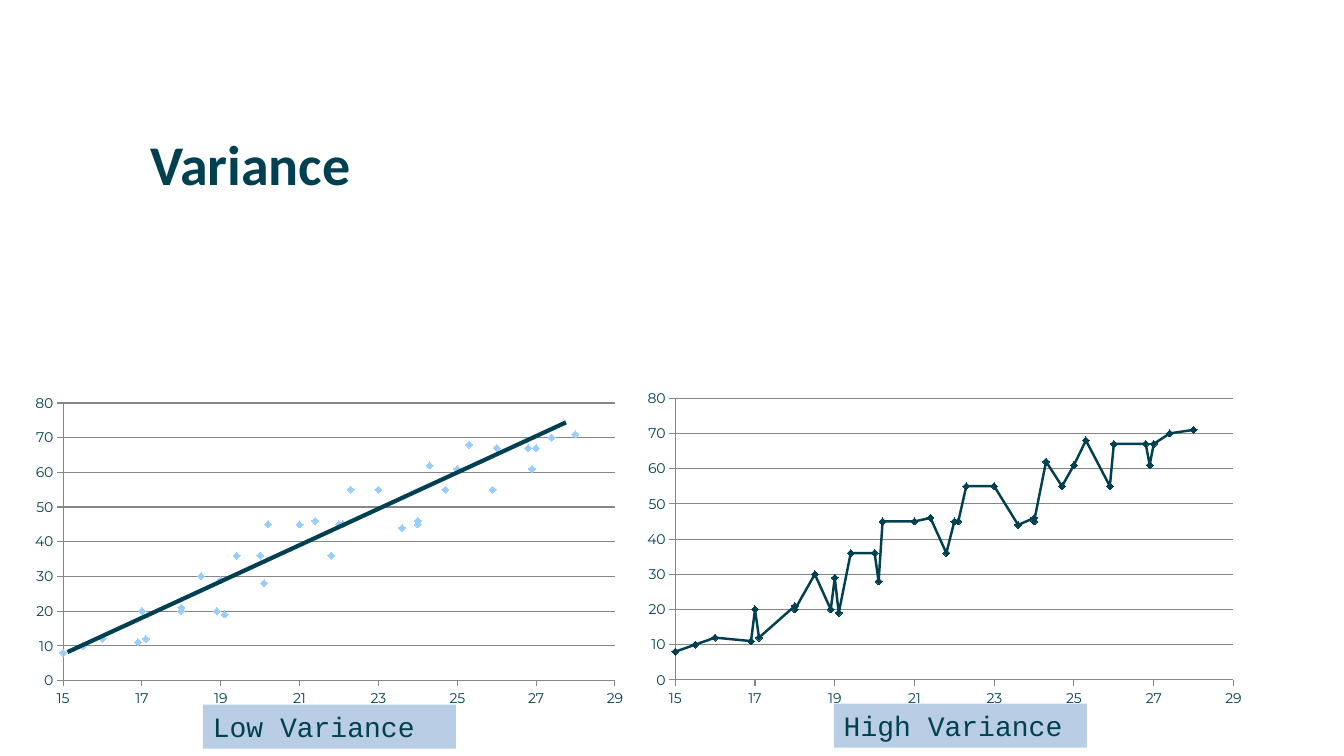
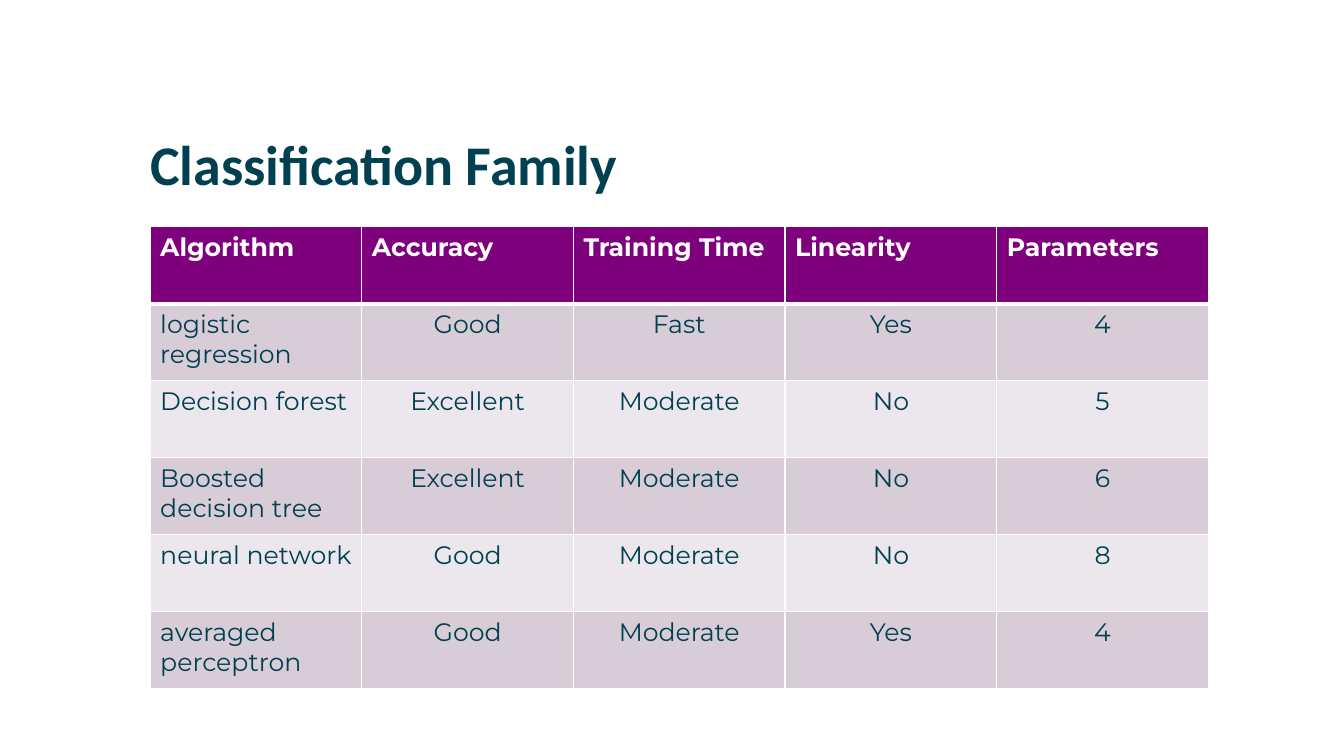
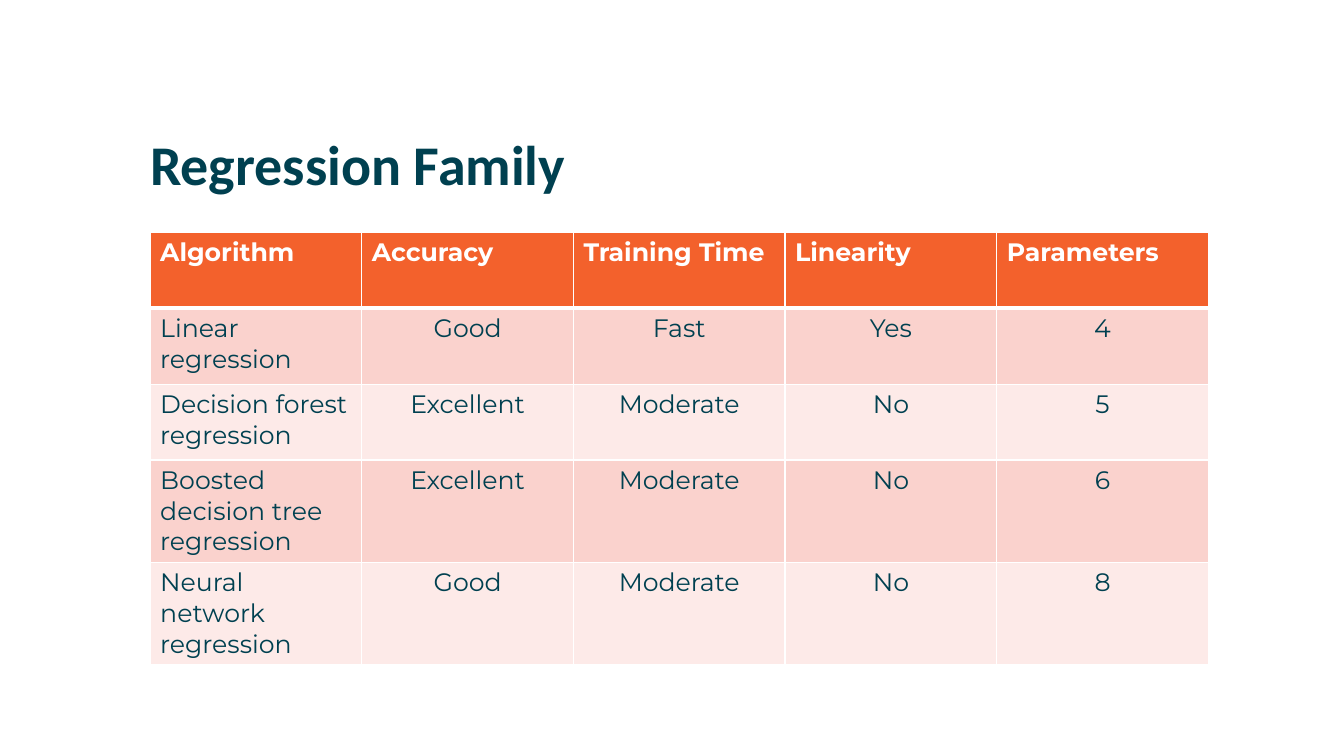
from lxml import etree
from pptx import Presentation
from pptx.chart.data import XyChartData
from pptx.dml.color import RGBColor
from pptx.enum.chart import XL_CHART_TYPE, XL_MARKER_STYLE, XL_TICK_MARK
from pptx.enum.shapes import MSO_CONNECTOR, MSO_SHAPE
from pptx.enum.text import MSO_ANCHOR, MSO_AUTO_SIZE, PP_ALIGN
from pptx.oxml import parse_xml
from pptx.oxml.ns import nsdecls, qn
from pptx.util import Pt

INK, WHITE, GRID, PALE, LABEL = "004050", "FFFFFF", "868686", "99CCFF", "B9CDE5"
HEAD, BODY, MONO = "Calibri", "Montserrat", "Courier New"
LEFT, COL_W = 107.25, 151.2

# Content
POINTS = [
    (14.2, 7), (15, 8), (15.5, 10), (16, 12), (16.9, 11), (17, 20), (17, 20),
    (17.1, 12), (18, 21), (18, 20), (18.5, 30), (18.9, 20), (19, 29), (19.1, 19),
    (19.4, 36), (20, 36), (20.1, 28), (20.2, 45), (21, 45), (21.4, 46), (21.8, 36),
    (22, 45), (22.1, 45), (22.3, 55), (23, 55), (23.6, 44), (24, 46), (24, 45),
    (24.3, 62), (24.7, 55), (25, 61), (25.3, 68), (25.9, 55), (26, 67), (26.8, 67),
    (26.9, 61), (27, 67), (27.4, 70), (28, 71),
]
# Chart box, label, label corner, marker colour, joined points
PANELS = [
    ((16.7, 277.2, 437, 232.6), "Low Variance", (144.9, 503.3), PALE, False),
    ((453.6, 273.6, 442.1, 236.2), "High Variance", (595.6, 502.6), INK, True),
]
TREND = (48.2, 465.8, 404.3, 301.7)

COLUMNS = ("Algorithm", "Accuracy", "Training Time", "Linearity", "Parameters")
FAMILIES = [
    dict(title="Classification Family", top=162, row_h=55,
         fills=("7F007D", "D8CCD7", "ECE7EC"),
         rows=[("logistic regression", "Good", "Fast", "Yes", "4"),
               ("Decision forest", "Excellent", "Moderate", "No", "5"),
               ("Boosted decision tree", "Excellent", "Moderate", "No", "6"),
               ("neural network", "Good", "Moderate", "No", "8"),
               ("averaged perceptron", "Good", "Moderate", "Yes", "4")]),
    dict(title="Regression Family", top=166, row_h=54.2,
         fills=("F3612C", "FAD2CD", "FDEAE8"),
         rows=[("Linear regression", "Good", "Fast", "Yes", "4"),
               ("Decision forest regression", "Excellent", "Moderate", "No", "5"),
               ("Boosted decision tree regression", "Excellent", "Moderate", "No", "6"),
               ("Neural network regression", "Good", "Moderate", "No", "8")]),
]


def rgb(color):
    return RGBColor.from_string(color)


def put_text(tf, text, size=18, font=BODY, color=INK, bold=False,
             align=PP_ALIGN.LEFT, spacing=None):
    p = tf.paragraphs[0]
    p.alignment = align
    if spacing:
        p.line_spacing = spacing
    r = p.add_run()
    r.text = text
    r.font.size, r.font.name, r.font.bold = Pt(size), font, bold
    r.font.color.rgb = rgb(color)


def add_slide(prs, title):
    s = prs.slides.add_slide(prs.slide_layouts[5])
    sp = s.shapes.title
    sp.left, sp.top, sp.width, sp.height = Pt(LEFT), Pt(98), Pt(746.6), Pt(41)
    tf = sp.text_frame
    tf.margin_left = tf.margin_top = tf.margin_right = tf.margin_bottom = 0
    tf.vertical_anchor, tf.auto_size = MSO_ANCHOR.TOP, MSO_AUTO_SIZE.NONE
    put_text(tf, title, size=40, font=HEAD, bold=True, spacing=0.9)
    return s


def add_scatter(s, box, color, joined):
    data = XyChartData()
    series = data.add_series("Series 1")
    for x, y in POINTS:
        series.add_data_point(x, y)
    kind = XL_CHART_TYPE.XY_SCATTER_LINES if joined else XL_CHART_TYPE.XY_SCATTER
    chart = s.shapes.add_chart(kind, *map(Pt, box), data).chart
    chart.has_legend = chart.has_title = False
    chart.font.size, chart.font.name = Pt(10), BODY
    chart.font.color.rgb = rgb(INK)

    # Axes
    x_axis, y_axis = chart.category_axis, chart.value_axis
    for axis, low, high, step in ((x_axis, 15, 29, 2), (y_axis, 0, 80, 10)):
        axis.minimum_scale, axis.maximum_scale, axis.major_unit = low, high, step
        axis.major_tick_mark = XL_TICK_MARK.OUTSIDE
        axis.format.line.color.rgb = rgb(GRID)
        axis.format.line.width = Pt(0.75)
    x_axis.has_major_gridlines, y_axis.has_major_gridlines = False, True
    grid = y_axis.major_gridlines.format.line
    grid.color.rgb, grid.width = rgb(GRID), Pt(0.75)

    # Series
    plot = chart.plots[0]
    plot.vary_by_categories = False
    ser = plot.series[0]
    ser.smooth = False
    if joined:
        ser.format.line.color.rgb, ser.format.line.width = rgb(color), Pt(1.75)
    else:
        ser.format.line.fill.background()
    ser.marker.style, ser.marker.size = XL_MARKER_STYLE.DIAMOND, 5
    ser.marker.format.fill.solid()
    ser.marker.format.fill.fore_color.rgb = rgb(color)
    ser.marker.format.line.color.rgb = rgb(color)

    # Fixed plot area
    area = plot._element.getparent()
    for old in area.findall(qn("c:layout")):
        area.remove(old)
    sizes = "".join(f'<c:{k} val="{v}"/>' for k, v in
                    (("x", 0.065), ("y", 0.046), ("w", 0.902), ("h", 0.852)))
    area.insert(0, parse_xml(
        f'<c:layout {nsdecls("c")}><c:manualLayout><c:layoutTarget val="inner"/>'
        f'<c:xMode val="edge"/><c:yMode val="edge"/>{sizes}</c:manualLayout></c:layout>'))


def add_label(s, text, corner):
    sp = s.shapes.add_shape(MSO_SHAPE.RECTANGLE, *map(Pt, corner), Pt(180.7), Pt(31.5))
    sp.shadow.inherit = False
    sp.fill.solid()
    sp.fill.fore_color.rgb = rgb(LABEL)
    sp.line.fill.background()
    sp.text_frame.word_wrap = True
    put_text(sp.text_frame, text, size=20, font=MONO)


def add_trend(s):
    line = s.shapes.add_connector(MSO_CONNECTOR.STRAIGHT, *map(Pt, TREND))
    line.line.color.rgb, line.line.width = rgb(INK), Pt(3)
    etree.SubElement(line._element.spPr, qn("a:effectLst"))


def set_borders(cell, widths):
    props = cell._tc.get_or_add_tcPr()
    for i, (side, width) in enumerate(zip(("lnL", "lnR", "lnT", "lnB"), widths)):
        props.insert(i, parse_xml(
            f'<a:{side} {nsdecls("a")} w="{Pt(width)}"><a:solidFill>'
            f'<a:srgbClr val="{WHITE}"/></a:solidFill></a:{side}>'))


def add_family(s, top, row_h, fills, rows):
    grid = [COLUMNS, *rows]
    table = s.shapes.add_table(len(grid), len(COLUMNS), Pt(LEFT), Pt(top),
                               Pt(COL_W * len(COLUMNS)), Pt(row_h * len(grid))).table
    for col in table.columns:
        col.width = Pt(COL_W)
    for i, row in enumerate(grid):
        table.rows[i].height = Pt(row_h)
        head = i == 0
        for j, text in enumerate(row):
            cell = table.cell(i, j)
            cell.fill.solid()
            cell.fill.fore_color.rgb = rgb(fills[0] if head else fills[2 - i % 2])
            set_borders(cell, (1, 1, 3 if i == 1 else 1, 3 if head else 1))
            put_text(cell.text_frame, text, color=WHITE if head else INK, bold=head,
                     align=PP_ALIGN.LEFT if head or j == 0 else PP_ALIGN.CENTER)


def main():
    prs = Presentation()
    prs.slide_width, prs.slide_height = Pt(960), Pt(540)

    s = add_slide(prs, "Variance")
    for box, label, corner, color, joined in PANELS:
        add_scatter(s, box, color, joined)
        add_label(s, label, corner)
    add_trend(s)

    for family in FAMILIES:
        s = add_slide(prs, family["title"])
        add_family(s, family["top"], family["row_h"], family["fills"], family["rows"])

    prs.save("out.pptx")


if __name__ == "__main__":
    main()
